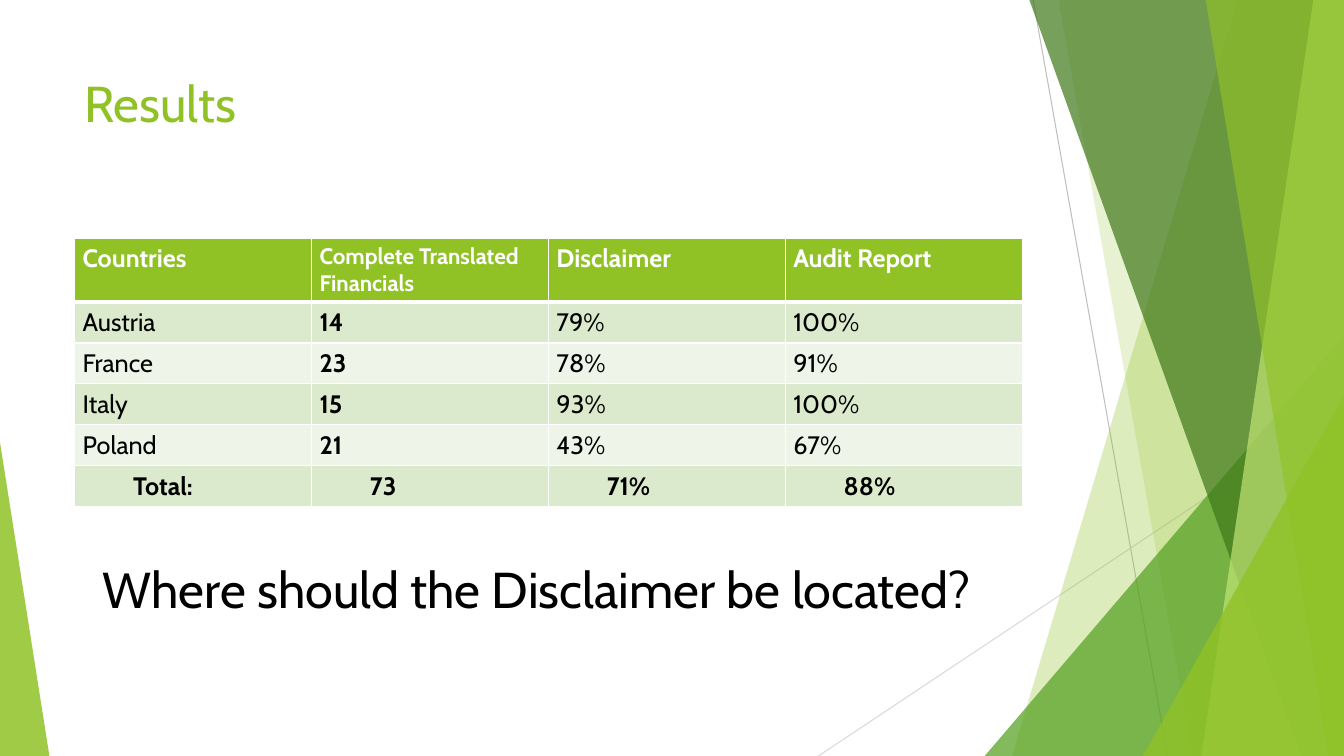
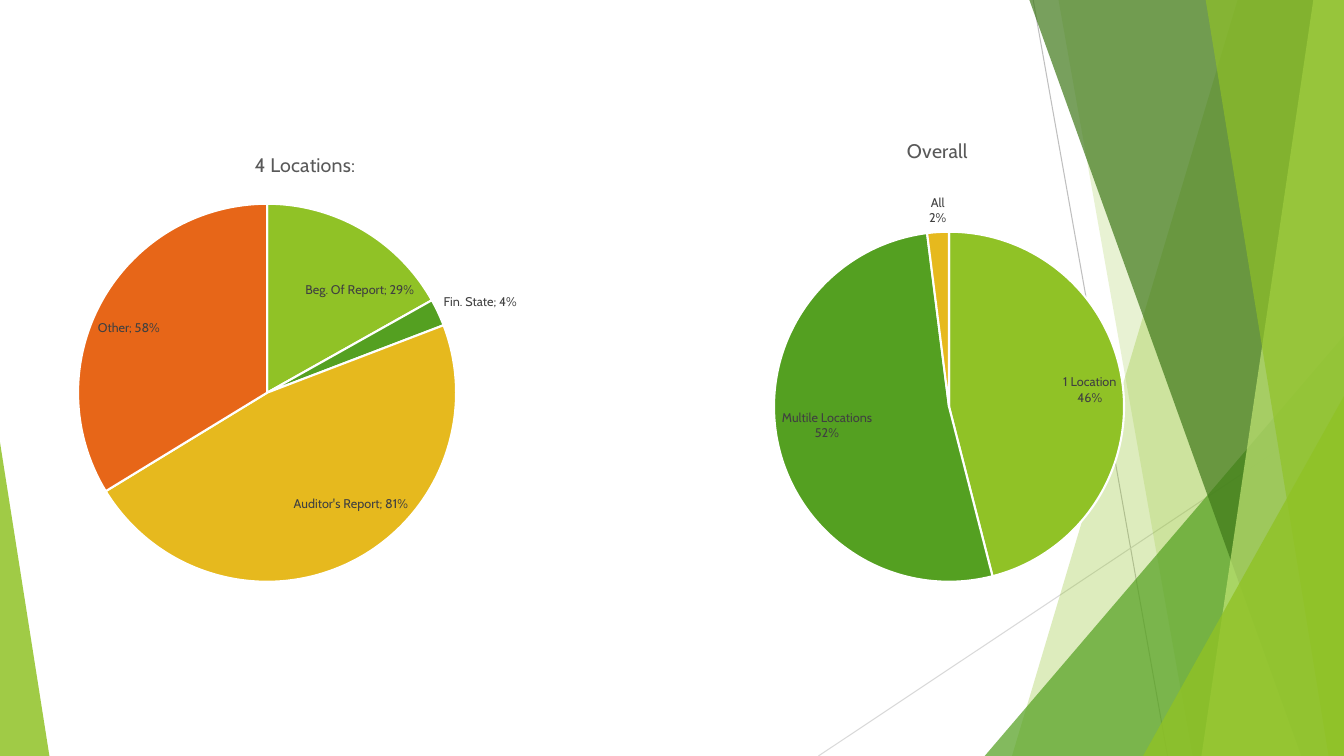
from dataclasses import dataclass

from lxml import etree
from pptx import Presentation
from pptx.chart.data import CategoryChartData
from pptx.dml.color import RGBColor
from pptx.enum.chart import XL_CHART_TYPE, XL_LABEL_POSITION
from pptx.enum.shapes import MSO_CONNECTOR, MSO_SHAPE
from pptx.enum.text import MSO_ANCHOR
from pptx.oxml.ns import qn
from pptx.util import Pt

PIE = XL_CHART_TYPE.PIE
BEST_FIT = XL_LABEL_POSITION.BEST_FIT
STRAIGHT = MSO_CONNECTOR.STRAIGHT
TRIANGLE = MSO_SHAPE.ISOSCELES_TRIANGLE
TOP = MSO_ANCHOR.TOP
WIDTH, HEIGHT = 960, 540


@dataclass(frozen=True)
class Theme:
    font: str = "Cabin"
    lime: str = "90C226"
    green: str = "54A021"
    forest: str = "3F7819"
    pale: str = "C0E474"
    gold: str = "E6B91E"
    orange: str = "E76618"
    band_dark: str = "DBE9CD"
    band_light: str = "EEF4E8"
    white: str = "FFFFFF"
    black: str = "000000"
    label: str = "404040"
    chart_title: str = "595959"
    line_dark: str = "BFBFBF"
    line_light: str = "D9D9D9"
    heading: int = 36
    body: int = 18
    small: int = 16
    chart_heading: int = 14
    chart_text: int = 10
    chart_label: int = 9


def add(parent, tag, **attrs):
    return etree.SubElement(parent, qn(tag), attrs)


def manual_layout(inner=False, **fractions):
    layout = etree.Element(qn("c:layout"))
    manual = add(layout, "c:manualLayout")
    if inner:
        add(manual, "c:layoutTarget", val="inner")
    for axis in ("x", "y"):
        add(manual, f"c:{axis}Mode", val="edge")
    for key, value in fractions.items():
        add(manual, f"c:{key}", val=str(value))
    return layout


class Deck:
    def __init__(self, theme):
        self.theme = theme
        self.prs = Presentation()
        self.prs.slide_width, self.prs.slide_height = Pt(WIDTH), Pt(HEIGHT)
        self.s = None

    def new_slide(self):
        self.s = self.prs.slides.add_slide(self.prs.slide_layouts[6])
        self.facets()

    def style(self, font, size, color, bold=False):
        font.name, font.size, font.bold = self.theme.font, Pt(size), bold
        font.color.rgb = RGBColor.from_string(color)

    def paint(self, sp, color, opacity):
        sp.shadow.inherit = False
        sp.line.fill.background()
        sp.fill.solid()
        sp.fill.fore_color.rgb = RGBColor.from_string(color)
        clr = sp.fill._xPr.find(".//" + qn("a:srgbClr"))
        add(clr, "a:alpha", val=str(opacity * 1000))

    def line(self, x1, y1, x2, y2, color):
        cn = self.s.shapes.add_connector(STRAIGHT, Pt(x1), Pt(y1), Pt(x2), Pt(y2))
        cn.line.color.rgb = RGBColor.from_string(color)
        cn.line.width = Pt(0.75)
        add(cn._element.spPr, "a:effectLst")

    def blade(self, top_x, bottom_x, color, opacity):
        fb = self.s.shapes.build_freeform(Pt(top_x), Pt(-0.6))
        fb.add_line_segments([(Pt(WIDTH), Pt(-0.6)), (Pt(WIDTH), Pt(HEIGHT)),
                              (Pt(bottom_x), Pt(HEIGHT))])
        self.paint(fb.convert_to_shape(), color, opacity)

    def wedge(self, left, top, right, apex, color, opacity):
        sp = self.s.shapes.add_shape(TRIANGLE, Pt(left), Pt(top),
                                     Pt(right - left), Pt(HEIGHT - top))
        sp.adjustments[0] = apex
        self.paint(sp, color, opacity)

    def facets(self):
        t = self.theme
        self.line(738, 0, 834, HEIGHT, t.line_dark)
        self.line(WIDTH, 290, 584.6, HEIGHT, t.line_light)
        self.blade(884.2, 722.9, t.lime, 30)
        self.blade(756, 851.8, t.lime, 20)
        self.wedge(703.4, 239.8, WIDTH, 1, t.green, 72)
        self.blade(735.1, 929.5, t.forest, 70)
        self.blade(938.2, 858.2, t.pale, 70)
        self.blade(861.1, 949, t.lime, 65)
        self.wedge(816.5, 283, WIDTH, 1, t.lime, 80)
        self.wedge(0, 316, 35.3, 0, t.lime, 85)

    def text(self, x, y, w, h, content, color):
        tf = self.s.shapes.add_textbox(Pt(x), Pt(y), Pt(w), Pt(h)).text_frame
        tf.word_wrap = True
        tf.vertical_anchor = TOP
        p = tf.paragraphs[0]
        p.text = content
        self.style(p.font, self.theme.heading, color)

    def title(self, content):
        self.text(53.3, 48.2, 676.8, 103.7, content, self.theme.lime)

    def borders(self, cell, top, bottom):
        tc_pr = cell._tc.get_or_add_tcPr()
        for i, (side, width) in enumerate(zip("LRTB", (1, 1, top, bottom))):
            ln = etree.Element(qn(f"a:ln{side}"), w=str(Pt(width)))
            add(add(ln, "a:solidFill"), "a:srgbClr", val=self.theme.white)
            tc_pr.insert(i, ln)

    def cell(self, cell, content, fill, size, color, bold, indent):
        cell.margin_left = cell.margin_right = Pt(5.76)
        cell.fill.solid()
        cell.fill.fore_color.rgb = RGBColor.from_string(fill)
        p = cell.text_frame.paragraphs[0]
        p.text = content
        self.style(p.font, size, color, bold)
        if indent:
            p._p.get_or_add_pPr().set("marL", str(Pt(indent)))

    def table(self, x, y, w, rows, heights):
        t = self.theme
        frame = self.s.shapes.add_table(len(rows), len(rows[0]), Pt(x), Pt(y),
                                        Pt(w), Pt(sum(heights)))
        tbl = frame.table
        tbl.first_row = tbl.horz_banding = False
        for col in tbl.columns:
            col.width = Pt(w / len(rows[0]))
        for i, row in enumerate(rows):
            tbl.rows[i].height = Pt(heights[i])
            header, total = i == 0, i == len(rows) - 1
            band = t.band_dark if i % 2 else t.band_light
            for j, content in enumerate(row):
                cell = tbl.cell(i, j)
                self.cell(cell, content,
                          fill=t.lime if header else band,
                          size=t.small if header and j == 1 else t.body,
                          color=t.white if header else t.black,
                          bold=header or total or j == 1,
                          indent=36 if total else 0)
                self.borders(cell, 3 if i == 1 else 1, 3 if header else 1)

    def pie(self, x, y, w, h, title, values, title_at, plot_at, separator, percent):
        t = self.theme
        data = CategoryChartData()
        data.categories = list(values)
        data.add_series("Series 1", list(values.values()))
        chart = self.s.shapes.add_chart(PIE, Pt(x), Pt(y), Pt(w), Pt(h), data).chart
        chart.has_legend = False
        self.style(chart.font, t.chart_text, t.black)

        p = chart.chart_title.text_frame.paragraphs[0]
        p.text = title
        self.style(p.font, t.chart_heading, t.chart_title)

        plot = chart.plots[0]
        plot.vary_by_categories = True
        series = plot.series[0]
        for i, color in enumerate((t.lime, t.green, t.gold, t.orange)[:len(values)]):
            fmt = series.points[i].format
            fmt.fill.solid()
            fmt.fill.fore_color.rgb = RGBColor.from_string(color)
            fmt.line.color.rgb = RGBColor.from_string(t.white)
            fmt.line.width = Pt(1.5)

        labels = series.data_labels
        labels.show_category_name = True
        labels.show_percentage, labels.show_value = percent, not percent
        labels.number_format, labels.number_format_is_linked = "0%", False
        labels.position = BEST_FIT
        self.style(labels.font, t.chart_label, t.label)

        root = chart.element
        flag = root.xpath(".//c:ser/c:dLbls/c:showBubbleSize")[0]
        sep = etree.Element(qn("c:separator"))
        sep.text = separator
        flag.addnext(sep)
        for old in root.xpath(".//c:plotArea/c:layout | .//c:title/c:layout"):
            old.getparent().remove(old)
        root.xpath(".//c:title/c:tx")[0].addnext(
            manual_layout(**dict(zip("xy", title_at))))
        root.xpath(".//c:plotArea")[0].insert(
            0, manual_layout(inner=True, **dict(zip("xywh", plot_at))))
        sp_pr = etree.Element(qn("c:spPr"))
        add(sp_pr, "a:noFill")
        add(add(sp_pr, "a:ln"), "a:noFill")
        root.xpath("./c:chart")[0].addnext(sp_pr)


theme = Theme()
deck = Deck(theme)

deck.new_slide()
deck.title("Results")
deck.table(53.3, 170.2, 676.8, [
    ("Countries", "Complete Translated Financials", "Disclaimer", "Audit Report"),
    ("Austria", "14", "79%", "100%"),
    ("France", "23", "78%", "91%"),
    ("Italy", "15", "93%", "100%"),
    ("Poland", "21", "43%", "67%"),
    ("Total:", "73", "71%", "88%"),
], [45] + [29.2] * 5)
deck.text(66.2, 395.3, 823, 51, "Where should the Disclaimer be located?", theme.black)

deck.new_slide()
deck.pie(-13, 92.2, 458, 333.4, "4 Locations:",
         {"Beg. Of Report": 0.29, "Fin. State": 0.04,
          "Auditor's Report": 0.81, "Other": 0.58},
         title_at=(0.42, 0.04), plot_at=(0.15, 0.16, 0.59, 0.81),
         separator="; ", percent=False)
deck.pie(445, 92.2, 465.8, 333.4, "Overall",
         {"1 Location": 46, "Multile Locations": 52, "All": 2},
         title_at=(0.43, 0.01), plot_at=(0.23, 0.22, 0.54, 0.75),
         separator="\n", percent=True)

deck.prs.save("out.pptx")
